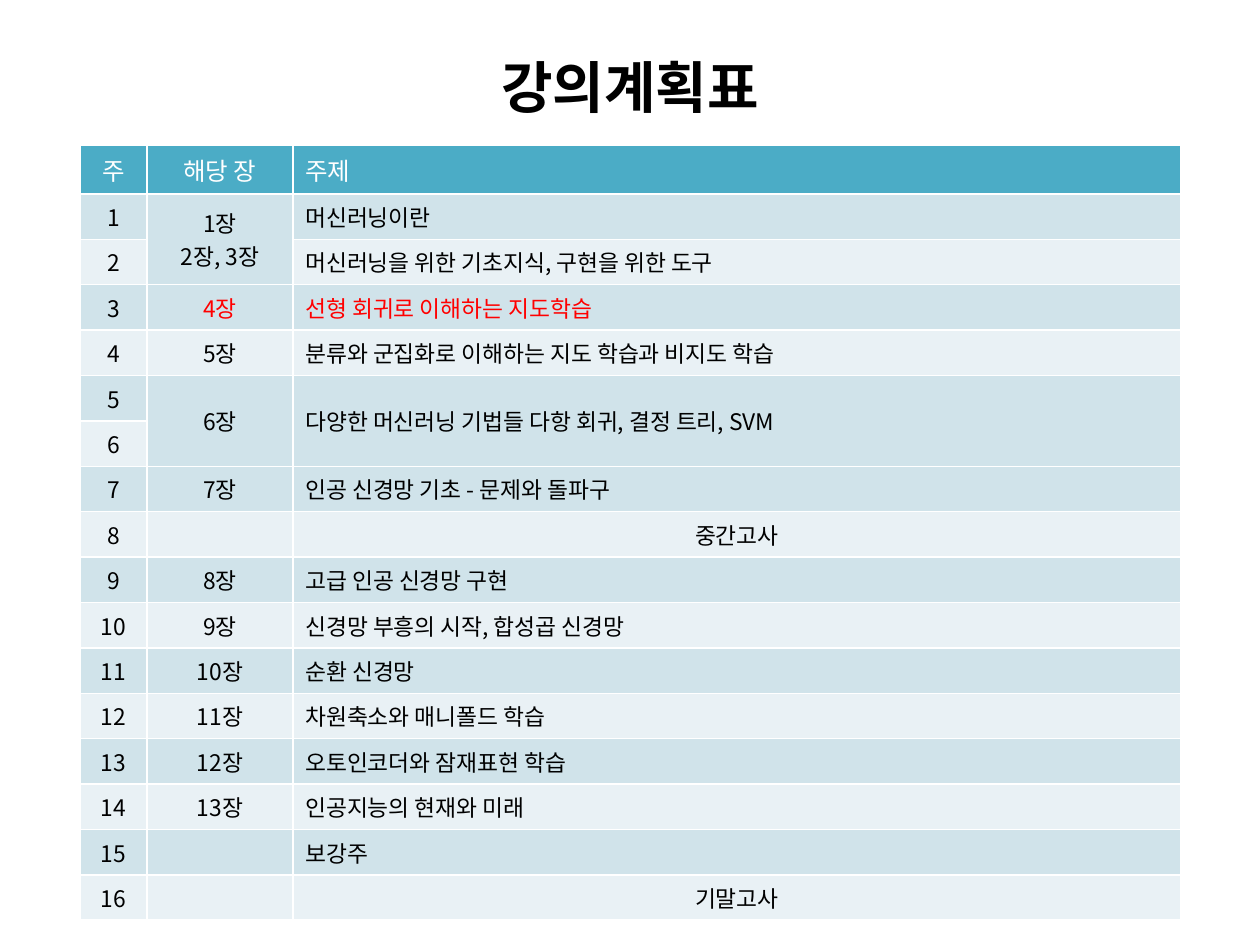
import lxml.etree
import pptx
import pptx.dml.color
import pptx.enum.text
import pptx.oxml.ns
import pptx.util

Pt = pptx.util.Pt
RGBColor = pptx.dml.color.RGBColor
PP_ALIGN = pptx.enum.text.PP_ALIGN
MIDDLE = pptx.enum.text.MSO_ANCHOR.MIDDLE
qn = pptx.oxml.ns.qn

BLACK = RGBColor(0x00, 0x00, 0x00)
WHITE = RGBColor(0xFF, 0xFF, 0xFF)
RED = RGBColor(0xFF, 0x00, 0x00)
HEADER_FILL = RGBColor(0x4B, 0xAC, 0xC6)
ODD_FILL = RGBColor(0xD0, 0xE3, 0xEA)
EVEN_FILL = RGBColor(0xE9, 0xF1, 0xF5)
KOREAN_FONT = "Noto Sans CJK KR"

HEADER = ("주", "해당 장", "주제")
WEEKS = [  # chapter, topic
    ("1장\n2장, 3장", "머신러닝이란"),
    ("", "머신러닝을 위한 기초지식, 구현을 위한 도구"),
    ("4장", "선형 회귀로 이해하는 지도학습"),
    ("5장", "분류와 군집화로 이해하는 지도 학습과 비지도 학습"),
    ("6장", "다양한 머신러닝 기법들 다항 회귀, 결정 트리, SVM"),
    ("", ""),
    ("7장", "인공 신경망 기초 - 문제와 돌파구"),
    ("", "중간고사"),
    ("8장", "고급 인공 신경망 구현"),
    ("9장", "신경망 부흥의 시작, 합성곱 신경망"),
    ("10장", "순환 신경망"),
    ("11장", "차원축소와 매니폴드 학습"),
    ("12장", "오토인코더와 잠재표현 학습"),
    ("13장", "인공지능의 현재와 미래"),
    ("", "보강주"),
    ("", "기말고사"),
]
EXAM_WEEKS = (8, 16)
CURRENT_WEEK = 3
MERGES = [((1, 1), (2, 1)), ((5, 1), (6, 1)), ((5, 2), (6, 2))]


def format_runs(paragraph, formats):
    for run in paragraph.runs:
        for name, value in formats.items():
            if name == "color":
                run.font.color.rgb = value
            else:
                setattr(run.font, name, value)
        east_asian = lxml.etree.SubElement(run.font._element, qn("a:ea"))
        east_asian.set("typeface", KOREAN_FONT)


presentation = pptx.Presentation()
presentation.slide_width, presentation.slide_height = Pt(720), Pt(540)
slide = presentation.slides.add_slide(presentation.slide_layouts[5])

title = slide.shapes.title
title_place = {"left": Pt(36), "top": Pt(21.6), "width": Pt(648), "height": Pt(55.4)}
for name, value in title_place.items():
    setattr(title, name, value)
title.text_frame.text = "강의계획표"
title.text_frame.vertical_anchor = MIDDLE
title_paragraph = title.text_frame.paragraphs[0]
title_paragraph.alignment = PP_ALIGN.CENTER
format_runs(title_paragraph,
            {"name": "Arial", "size": Pt(32), "bold": True, "color": BLACK})

rows = [HEADER] + [(str(week), *texts) for week, texts in enumerate(WEEKS, start=1)]
column_widths = (38.5, 83.2, 507.4)
row_height = 25
table = slide.shapes.add_table(
    len(rows), len(HEADER), Pt(45.6), Pt(83.2),
    Pt(sum(column_widths)), Pt(row_height * len(rows))).table
for column, width in zip(table.columns, column_widths):
    column.width = Pt(width)

for week, texts in enumerate(rows):
    table.rows[week].height = Pt(row_height)
    is_header = week == 0
    fill_color = HEADER_FILL if is_header else ODD_FILL if week % 2 else EVEN_FILL
    for column_index, text in enumerate(texts):
        cell = table.cell(week, column_index)
        cell.fill.solid()
        cell.fill.fore_color.rgb = fill_color
        cell.vertical_anchor = MIDDLE
        cell.text_frame.text = text
        centred = column_index < 2 or week in EXAM_WEEKS
        highlighted = week == CURRENT_WEEK and column_index > 0
        formats = {
            "name": KOREAN_FONT,
            "size": Pt(14 if is_header else 13),
            "bold": False,
            "color": WHITE if is_header else RED if highlighted else BLACK,
        }
        for paragraph in cell.text_frame.paragraphs:
            paragraph.alignment = PP_ALIGN.CENTER if centred else PP_ALIGN.LEFT
            format_runs(paragraph, formats)
            if not text:  # keeps empty cells from stretching their row
                end_format = lxml.etree.SubElement(paragraph._p, qn("a:endParaRPr"))
                end_format.set("sz", "1300")

for first, last in MERGES:
    table.cell(*first).merge(table.cell(*last))

presentation.save("out.pptx")
